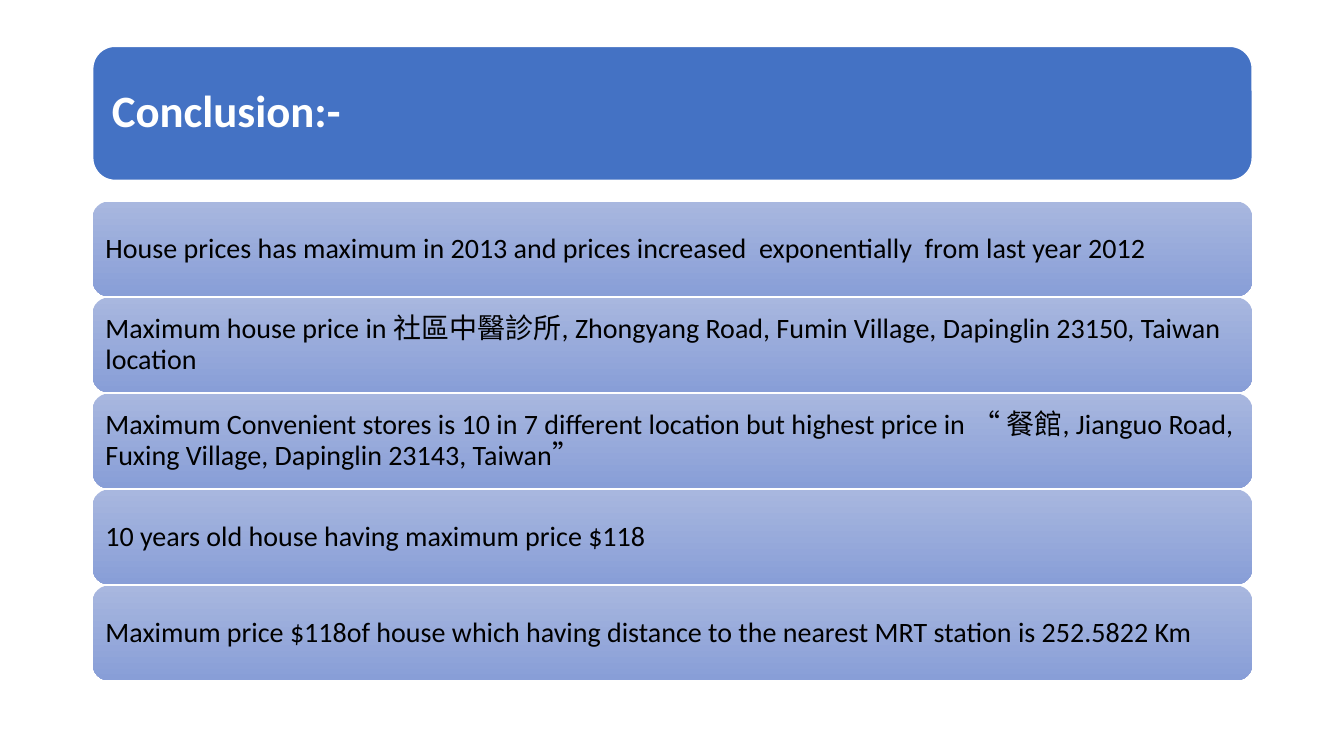
from dataclasses import dataclass

from pptx import Presentation
from pptx.dml.color import RGBColor
from pptx.enum.shapes import MSO_SHAPE
from pptx.enum.text import MSO_ANCHOR, MSO_AUTO_SIZE, PP_ALIGN
from pptx.util import Inches, Pt

ROUNDED = MSO_SHAPE.ROUNDED_RECTANGLE
MIDDLE = MSO_ANCHOR.MIDDLE
LEFT = PP_ALIGN.LEFT
NO_AUTOFIT = MSO_AUTO_SIZE.NONE

BLUE = RGBColor(0x44, 0x72, 0xC4)
BAR_TOP = RGBColor(0xA8, 0xB7, 0xDF)
BAR_BOTTOM = RGBColor(0x88, 0x9E, 0xD7)
WHITE = RGBColor(0xFF, 0xFF, 0xFF)
BLACK = RGBColor(0x00, 0x00, 0x00)
FONT = "Calibri"


@dataclass(frozen=True)
class Area:
    left: float
    top: float
    width: float
    height: float

    def inches(self) -> tuple:
        return tuple(Inches(n) for n in (self.left, self.top, self.width, self.height))

    def inset(self, margin: float) -> "Area":
        return Area(self.left + margin, self.top + margin,
                    self.width - 2 * margin, self.height - 2 * margin)


@dataclass(frozen=True)
class TextStyle:
    size: int
    color: RGBColor
    bold: bool
    margin: float


HEADING = TextStyle(32, WHITE, True, 0.13)
FINDING = TextStyle(20, BLACK, False, 0.08)

BANNER = Area(0.92, 0.46, 11.5, 1.33)
FIRST_BAR, LAST_BAR, BAR_HEIGHT = 2.0, 5.81, 0.94

FINDINGS = [
    "House prices has maximum in 2013 and prices increased  exponentially  from last year 2012",
    "Maximum house price in 社區中醫診所, Zhongyang Road, Fumin Village, "
    "Dapinglin 23150, Taiwan location",
    "Maximum Convenient stores is 10 in 7 different location but highest price in "
    "“ 餐館, Jianguo Road, Fuxing Village, Dapinglin 23143, Taiwan”",
    "10 years old house having maximum price $118",
    "Maximum price $118of house which having distance to the nearest MRT station is 252.5822 Km",
]


def add_bar(page, area: Area):
    bar = page.shapes.add_shape(ROUNDED, *area.inches())
    bar.shadow.inherit = False
    return bar


def write(box, text: str, style: TextStyle) -> None:
    frame = box.text_frame
    frame.text = text
    frame.word_wrap = True
    frame.auto_size = NO_AUTOFIT
    frame.vertical_anchor = MIDDLE
    frame.margin_left = frame.margin_right = Inches(style.margin)
    frame.margin_top = frame.margin_bottom = Inches(style.margin)
    para = frame.paragraphs[0]
    para.alignment = LEFT
    para.line_spacing = 0.9
    para.font.name = FONT
    para.font.size = Pt(style.size)
    para.font.bold = style.bold
    para.font.color.rgb = style.color


deck = Presentation()
deck.slide_width, deck.slide_height = Inches(13.33), Inches(7.5)
page = deck.slides.add_slide(deck.slide_layouts[5])

# Heading banner, with the title placed in front of it
banner = add_bar(page, BANNER)
banner.fill.solid()
banner.fill.fore_color.rgb = BLUE
banner.line.color.rgb = WHITE
banner.line.width = Pt(1)

title = page.shapes.title
title.left, title.top, title.width, title.height = BANNER.inset(0.06).inches()
write(title, "Conclusion:-", HEADING)
banner._element.addnext(title._element)

# Findings, one gradient bar each, evenly spaced
pitch = (LAST_BAR - FIRST_BAR) / (len(FINDINGS) - 1)
for row, finding in enumerate(FINDINGS):
    bar = add_bar(page, Area(BANNER.left, FIRST_BAR + row * pitch, BANNER.width, BAR_HEIGHT))
    bar.fill.gradient()
    bar.fill.gradient_angle = 270
    for stop, color in zip(bar.fill.gradient_stops, (BAR_TOP, BAR_BOTTOM)):
        stop.color.rgb = color
    bar.line.fill.background()
    write(bar, finding, FINDING)

deck.save("out.pptx")
